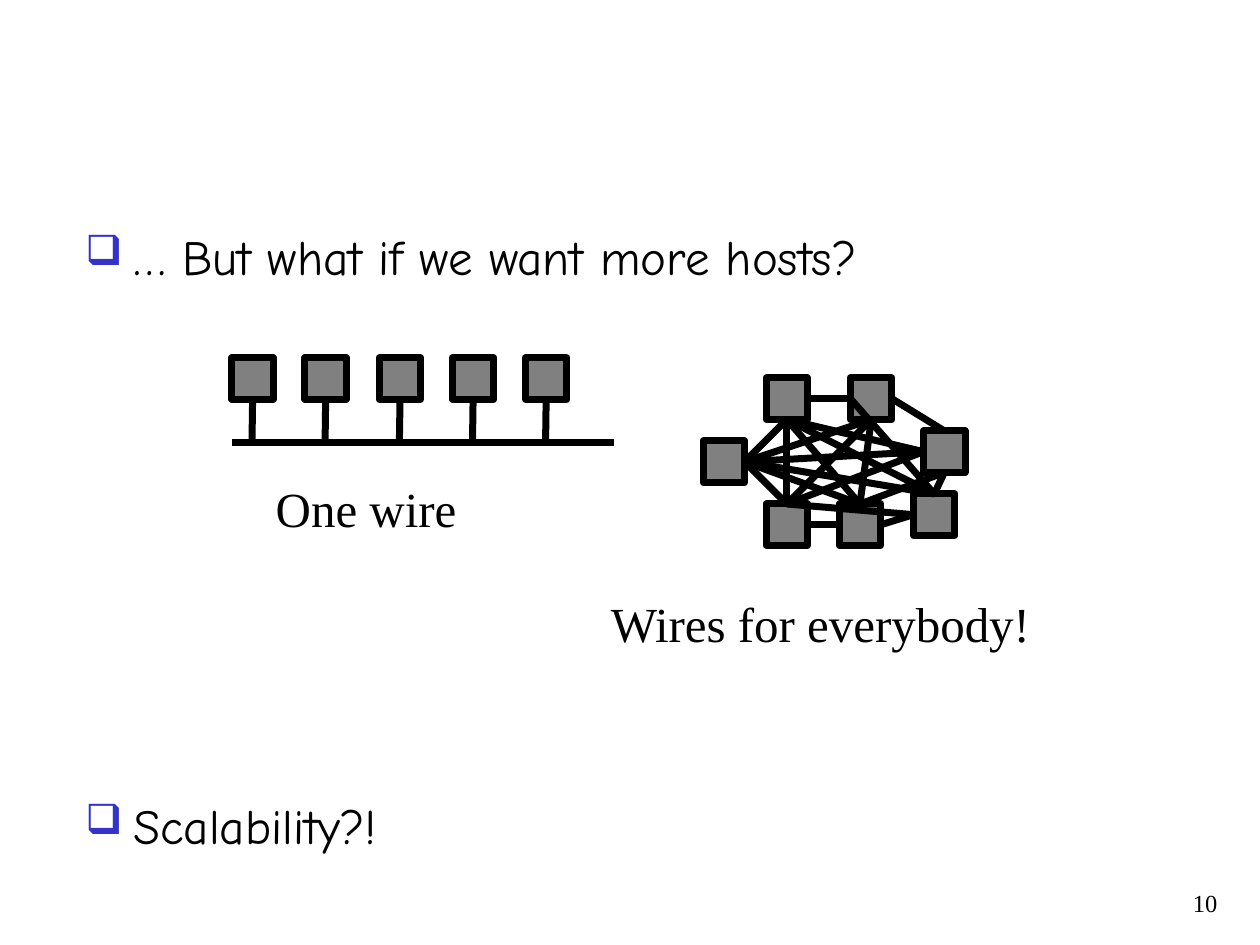
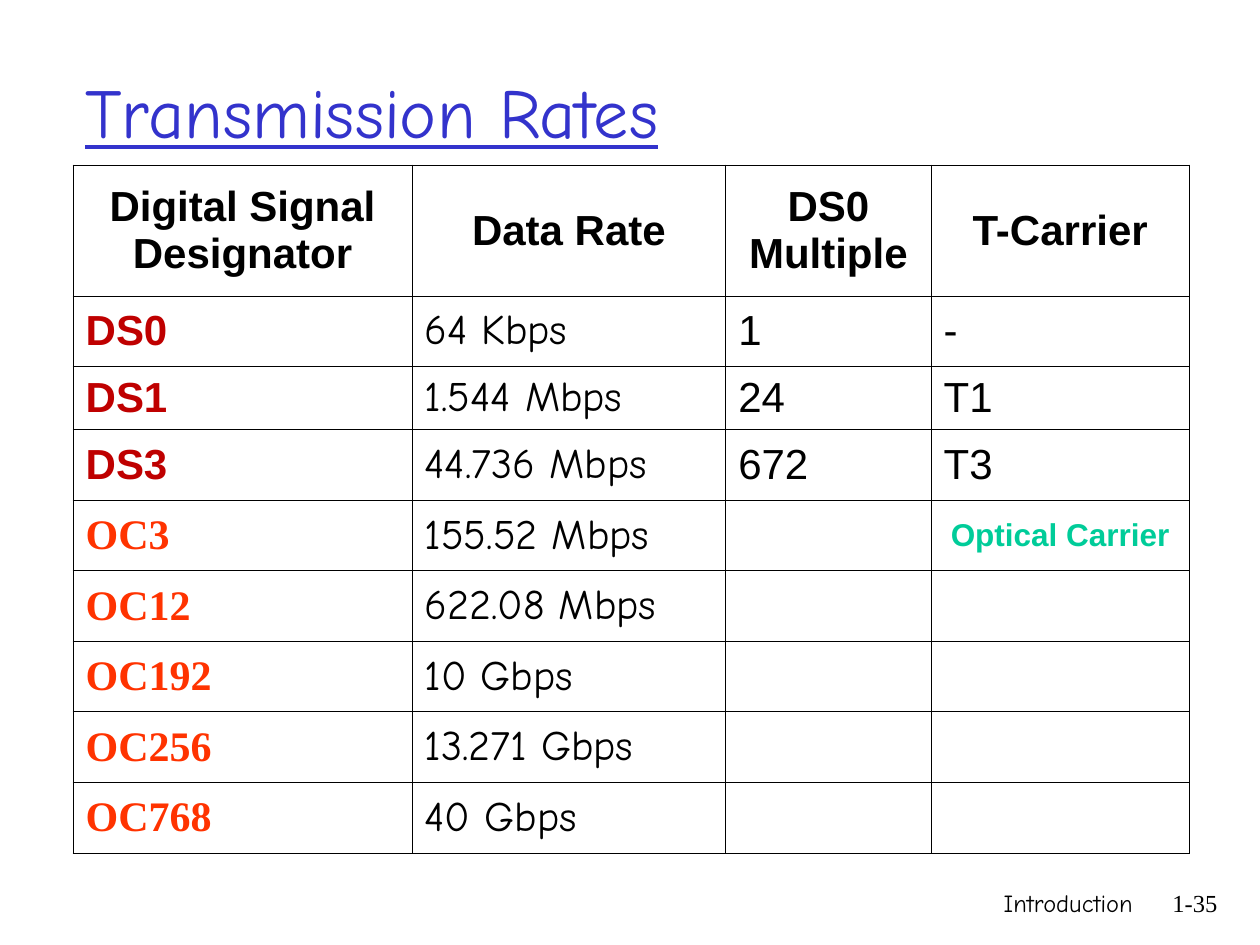
"""Build two slides on wiring hosts together and on transmission rates."""
from dataclasses import dataclass, replace
from enum import IntEnum
from itertools import chain
from typing import NamedTuple

from lxml import etree
from pptx import Presentation
from pptx import util as u
from pptx.dml.color import RGBColor
from pptx.enum import shapes, text
from pptx.oxml import ns

SCALE = 9144
COLORS = {
    "ink": "000000", "accent": "3333CC", "host": "808080",
    "copper": "BF0000", "optical": "FF3300", "carrier": "00CC99",
}
ARIAL, COMIC, TIMES = "Arial", "Comic Neue", "Times New Roman"
HOST_SIDE = 33
WIRE_WEIGHT = u.Pt(4)
BORDER_WEIGHT = u.Pt(0.45)
LEFT, RIGHT = text.PP_ALIGN.LEFT, text.PP_ALIGN.RIGHT
CENTER = text.PP_ALIGN.CENTER


class Side(IntEnum):
    """Connection sites of a rectangle."""
    TOP = 0
    LEFT = 1
    BOTTOM = 2
    RIGHT = 3


class Area(NamedTuple):
    """A rectangle in px."""
    left: int
    top: int
    width: int
    height: int


class Wire(NamedTuple):
    """A straight link between the sides of two named hosts."""
    start: str
    start_side: Side
    end: str
    end_side: Side


@dataclass(frozen=True)
class Style:
    """The look of a paragraph."""
    font: str
    size: int
    color: str = "ink"
    bold: bool = False
    underline: bool = False
    align: text.PP_ALIGN = LEFT


@dataclass(frozen=True)
class Label:
    """A text box with one paragraph."""
    area: Area
    words: str
    style: Style
    anchor: text.MSO_ANCHOR = text.MSO_ANCHOR.TOP


NUMBER = Style(TIMES, 14, align=RIGHT)
FOOTER = replace(NUMBER, font=COMIC)
TITLE = Style(COMIC, 40, "accent", underline=True)
BODY = Style(COMIC, 28)
CAPTION = Style(TIMES, 28)
HEADING = Style(ARIAL, 24, bold=True, align=CENTER)
COPPER = Style(ARIAL, 24, "copper", bold=True)
OPTICAL = Style(TIMES, 24, "optical", bold=True)
RATE = Style(COMIC, 24)
PLAIN = Style(ARIAL, 24)
CARRIER = Style(ARIAL, 18, "carrier", bold=True, align=CENTER)

TITLE_AREA = Area(58, 25, 850, 125)
BODY_AREA = Area(58, 175, 850, 508)
FOOTER_AREA = Area(592, 700, 317, 50)
NUMBER_AREA = Area(908, 700, 68, 50)

BULLETS = ("… But what if we want more hosts?", "Scalability?!")
BULLET_GAP = u.Pt(291.5)
BULLET_INDENT = 38

BUS_HOSTS, BUS_LEFT, BUS_TOP, BUS_PITCH = 5, 184, 284, 58.3
BUS_RIGHT, BUS_LINE = 487, 351
CAPTIONS = (
    Label(Area(209, 375, 216, 57), "One wire", CAPTION),
    Label(Area(475, 466, 366, 57), "Wires for everybody!", CAPTION),
)

MESH_HOSTS = {
    "northwest": (608, 300), "east": (733, 342), "north": (675, 300),
    "west": (558, 350), "southwest": (608, 400), "south": (666, 400),
    "southeast": (725, 392),
}
MESH_WIRES = (
    Wire("west", Side.RIGHT, "northwest", Side.BOTTOM),
    Wire("west", Side.RIGHT, "north", Side.BOTTOM),
    Wire("west", Side.RIGHT, "east", Side.LEFT),
    Wire("west", Side.RIGHT, "southeast", Side.TOP),
    Wire("west", Side.RIGHT, "south", Side.TOP),
    Wire("west", Side.RIGHT, "southwest", Side.TOP),
    Wire("northwest", Side.RIGHT, "north", Side.LEFT),
    Wire("north", Side.RIGHT, "east", Side.TOP),
    Wire("east", Side.BOTTOM, "southeast", Side.TOP),
    Wire("south", Side.RIGHT, "southeast", Side.LEFT),
    Wire("southwest", Side.RIGHT, "south", Side.LEFT),
    Wire("northwest", Side.BOTTOM, "east", Side.LEFT),
    Wire("northwest", Side.BOTTOM, "southeast", Side.TOP),
    Wire("northwest", Side.BOTTOM, "south", Side.TOP),
    Wire("northwest", Side.BOTTOM, "southwest", Side.TOP),
    Wire("north", Side.LEFT, "southeast", Side.TOP),
    Wire("north", Side.BOTTOM, "south", Side.TOP),
    Wire("north", Side.BOTTOM, "southwest", Side.TOP),
    Wire("east", Side.BOTTOM, "south", Side.TOP),
    Wire("east", Side.LEFT, "southwest", Side.TOP),
    Wire("southeast", Side.LEFT, "southwest", Side.TOP),
)

RATES_AREA = Area(58, 131, 886, 546)
COLUMN_WIDTHS = (269, 249, 163, 205)
ROW_HEIGHTS = (104, 56, 50) + (56,) * 6
RATES = (
    ("Digital Signal Designator", "Data Rate", "DS0 Multiple", "T-Carrier"),
    ("DS0", "64 Kbps", "1", "-"),
    ("DS1", "1.544 Mbps", "24", "T1"),
    ("DS3", "44.736 Mbps", "672", "T3"),
    ("OC3", "155.52 Mbps", "", "Optical Carrier"),
    ("OC12", "622.08 Mbps", "", ""),
    ("OC192", "10 Gbps", "", ""),
    ("OC256", "13.271 Gbps", "", ""),
    ("OC768", "40 Gbps", "", ""),
)


def px(length: float) -> u.Emu:
    """Turn px into EMU."""
    return u.Emu(round(length * SCALE))


def emu(area: Area) -> list[u.Emu]:
    """Turn an area into EMU lengths."""
    return [px(length) for length in area]


def color(name: str) -> RGBColor:
    """Look up a named colour."""
    return RGBColor.from_string(COLORS[name])


def write(paragraph, words: str, style: Style) -> None:
    """Put styled words into a paragraph."""
    paragraph.text = words
    paragraph.alignment = style.align
    font = paragraph.font
    font.name, font.size = style.font, u.Pt(style.size)
    font.bold, font.underline = style.bold, style.underline
    font.color.rgb = color(style.color)


def add_box(page, area: Area):
    """Add a wrapping text box and return its frame."""
    frame = page.shapes.add_textbox(*emu(area)).text_frame
    frame.word_wrap = True
    return frame


def add_label(page, label: Label) -> None:
    """Draw a label."""
    frame = add_box(page, label.area)
    frame.vertical_anchor = label.anchor
    write(frame.paragraphs[0], label.words, label.style)


def add_bullet(paragraph) -> None:
    """Give a paragraph a hanging square bullet."""
    properties = paragraph._p.get_or_add_pPr()
    properties.set("marL", str(px(BULLET_INDENT)))
    properties.set("indent", str(px(-BULLET_INDENT)))
    tint = etree.SubElement(properties, ns.qn("a:buClr"))
    etree.SubElement(tint, ns.qn("a:srgbClr"), val=COLORS["accent"])
    etree.SubElement(properties, ns.qn("a:buSzPct"), val="85000")
    etree.SubElement(properties, ns.qn("a:buChar"), char="❑")


def add_bullets(page) -> None:
    """Draw the two bullets above and below the diagrams."""
    frame = add_box(page, BODY_AREA)
    for index, words in enumerate(BULLETS):
        paragraph = frame.add_paragraph() if index else frame.paragraphs[0]
        add_bullet(paragraph)
        write(paragraph, words, BODY)
        if index:
            paragraph.space_before = BULLET_GAP


def add_host(page, left: int, top: int):
    """Draw a host square."""
    area = Area(left, top, HOST_SIDE, HOST_SIDE)
    host = page.shapes.add_shape(shapes.MSO_SHAPE.RECTANGLE, *emu(area))
    host.shadow.inherit = False
    host.fill.solid()
    host.fill.fore_color.rgb = color("host")
    host.line.color.rgb = color("ink")
    host.line.width = WIRE_WEIGHT
    return host


def add_wire(page, x1: int = 0, y1: int = 0, x2: int = 0, y2: int = 0):
    """Draw a straight black wire."""
    ends = [px(length) for length in (x1, y1, x2, y2)]
    wire = page.shapes.add_connector(shapes.MSO_CONNECTOR.STRAIGHT, *ends)
    wire.line.color.rgb = color("ink")
    wire.line.width = WIRE_WEIGHT
    etree.SubElement(wire._element.spPr, ns.qn("a:effectLst"))
    return wire


def add_bus(page) -> None:
    """Draw hosts that share one wire."""
    lefts = [round(BUS_LEFT + BUS_PITCH * index) for index in range(BUS_HOSTS)]
    hosts = [add_host(page, left, BUS_TOP) for left in lefts]
    for left, host in zip(lefts, hosts):
        middle = left + HOST_SIDE // 2
        stem = add_wire(page, middle, BUS_TOP + HOST_SIDE, middle, BUS_LINE)
        stem.begin_connect(host, Side.BOTTOM)
    add_wire(page, BUS_LEFT, BUS_LINE, BUS_RIGHT, BUS_LINE)


def add_mesh(page) -> None:
    """Draw hosts that are all wired to each other."""
    hosts = {name: add_host(page, *spot) for name, spot in MESH_HOSTS.items()}
    for link in MESH_WIRES:
        wire = add_wire(page)
        wire.begin_connect(hosts[link.start], link.start_side)
        wire.end_connect(hosts[link.end], link.end_side)


def rate_style(row: int, column: int) -> Style:
    """Choose the style of a table cell."""
    if row == 0:
        return HEADING
    copper = RATES[row][0].startswith("DS")
    if column == 0:
        return COPPER if copper else OPTICAL
    if column == 1:
        return RATE
    return PLAIN if copper else CARRIER


def add_borders(cell) -> None:
    """Rule all four sides of a cell."""
    properties = cell._tc.get_or_add_tcPr()
    for index, side in enumerate(("a:lnL", "a:lnR", "a:lnT", "a:lnB")):
        line = etree.Element(ns.qn(side), w=str(BORDER_WEIGHT))
        fill = etree.SubElement(line, ns.qn("a:solidFill"))
        etree.SubElement(fill, ns.qn("a:srgbClr"), val=COLORS["ink"])
        properties.insert(index, line)


def add_rates(page) -> None:
    """Draw the table of transmission rates."""
    size = len(ROW_HEIGHTS), len(COLUMN_WIDTHS)
    table = page.shapes.add_table(*size, *emu(RATES_AREA)).table
    table.first_row = table.horz_banding = False
    for column, width in zip(table.columns, COLUMN_WIDTHS):
        column.width = px(width)
    for row, height in zip(table.rows, ROW_HEIGHTS):
        row.height = px(height)
    for index, (cell, words) in enumerate(zip(table.iter_cells(), chain(*RATES))):
        cell.vertical_anchor = text.MSO_ANCHOR.MIDDLE
        cell.fill.background()
        add_borders(cell)
        if words:
            style = rate_style(*divmod(index, len(COLUMN_WIDTHS)))
            write(cell.text_frame.paragraphs[0], words, style)


def add_page(deck, number: str):
    """Add a blank slide with its number."""
    page = deck.slides.add_slide(deck.slide_layouts[6])
    add_label(page, Label(NUMBER_AREA, number, NUMBER))
    return page


def main() -> None:
    """Build and save the deck."""
    deck = Presentation()
    deck.slide_width, deck.slide_height = px(1000), px(750)

    hosts_page = add_page(deck, "10")
    add_bullets(hosts_page)
    add_bus(hosts_page)
    add_mesh(hosts_page)
    for caption in CAPTIONS:
        add_label(hosts_page, caption)

    rates_page = add_page(deck, "1-35")
    add_label(rates_page, Label(FOOTER_AREA, "Introduction", FOOTER))
    title = Label(TITLE_AREA, "Transmission Rates", TITLE, text.MSO_ANCHOR.MIDDLE)
    add_label(rates_page, title)
    add_rates(rates_page)
    deck.save("out.pptx")


if __name__ == "__main__":
    main()
